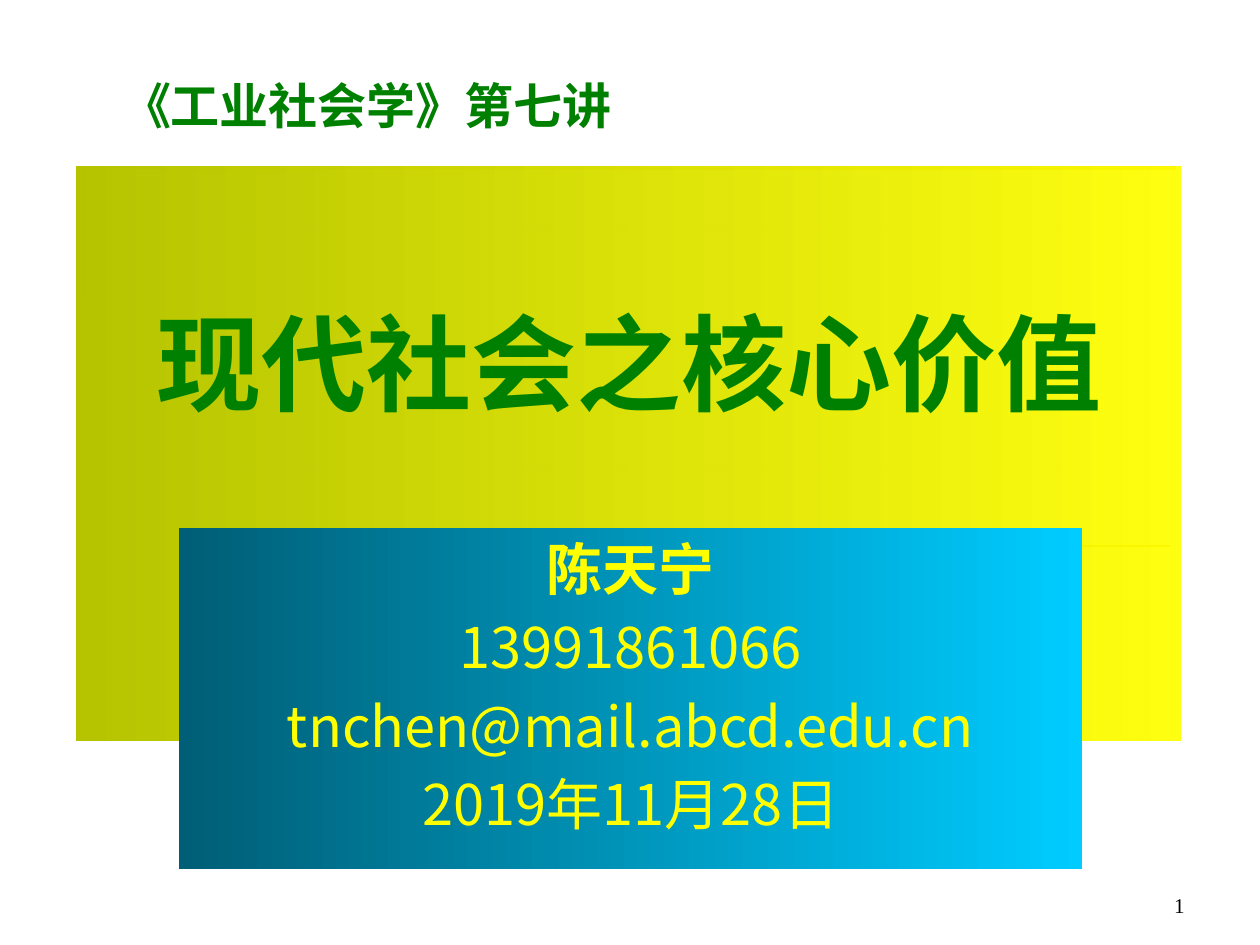
"""Build the opening slide of a lecture on the core values of modern society."""
from dataclasses import dataclass

from lxml.etree import SubElement
from pptx import Presentation
from pptx.dml.color import RGBColor
from pptx.enum.shapes import MSO_CONNECTOR, MSO_SHAPE
from pptx.enum.text import MSO_ANCHOR, MSO_AUTO_SIZE, PP_ALIGN
from pptx.oxml.ns import qn
from pptx.util import Inches, Pt

COLORS = {
    "green": "008000", "yellow": "FFFF00", "olive": "B6C400", "gold": "CC9900",
    "teal": "005E76", "sky": "00CCFF", "black": "000000",
}
WIDTH, HEIGHT = Inches(10), Inches(7.5)
SANS, SERIF = "Noto Sans CJK SC", "Times New Roman"


@dataclass(frozen=True)
class Box:
    """Hold a rectangle as shares of the slide's size."""
    left: float
    top: float
    width: float
    height: float

    def lengths(self) -> tuple[int, int, int, int]:
        """Return left, top, width and height in slide units."""
        return (int(self.left * WIDTH), int(self.top * HEIGHT),
                int(self.width * WIDTH), int(self.height * HEIGHT))


@dataclass(frozen=True)
class Line:
    """Hold one paragraph and its look."""
    text: str
    size: float
    color: str
    bold: bool = False
    font: str = SANS
    align: PP_ALIGN = PP_ALIGN.CENTER
    before: float = 0
    spacing: float = 1.0


TITLE_BOX = Box(0.061, 0.176, 0.876, 0.608)
SPEAKER_BOX = Box(0.142, 0.559, 0.717, 0.361)
LECTURE_BOX = Box(0.087, 0.073, 0.409, 0.076)
NUMBER_BOX = Box(0.717, 0.911, 0.233, 0.067)
RULE_BOX = Box(0.067, 0.178, 0.866, 0.133)

TITLE = Line("现代社会之核心价值", 60, "green", bold=True, spacing=2.0)
LECTURE = Line("《工业社会学》第七讲", 28, "green", bold=True, align=PP_ALIGN.LEFT)
NUMBER = Line("1", 12, "black", font=SERIF, align=PP_ALIGN.RIGHT)
SPEAKER = [Line("陈天宁", 32, "yellow", bold=True)] + [
    Line(text, 32, "yellow", before=6.4)
    for text in ("13991861066", "tnchen@mail.abcd.edu.cn", "2019年11月28日")
]


def rgb(name: str) -> RGBColor:
    """Look up a named colour."""
    return RGBColor.from_string(COLORS[name])


def place(shape, box: Box) -> None:
    """Move a shape to its box."""
    shape.left, shape.top, shape.width, shape.height = box.lengths()


def write(shape, lines: list[Line], anchor=MSO_ANCHOR.TOP, wrap: bool = True,
          auto_size=MSO_AUTO_SIZE.NONE) -> None:
    """Fill a shape with formatted paragraphs."""
    frame = shape.text_frame
    frame.text = "\n".join(line.text for line in lines)
    frame.word_wrap, frame.auto_size, frame.vertical_anchor = wrap, auto_size, anchor
    for paragraph, line in zip(frame.paragraphs, lines):
        paragraph.alignment = line.align
        paragraph.space_before = Pt(line.before)
        paragraph.line_spacing = line.spacing
        for run in paragraph.runs:
            run.font.size, run.font.bold = Pt(line.size), line.bold
            run.font.name = line.font
            run.font.color.rgb = rgb(line.color)
            SubElement(run.font._element, qn("a:ea"), typeface=line.font)


def shade(shape, start: str, end: str, end_opacity: int = 100) -> None:
    """Give a shape a left-to-right gradient and no outline."""
    shape.fill.gradient()
    shape.fill.gradient_angle = 0
    stops = shape.fill.gradient_stops
    for stop, color, position in zip(stops, (start, end), (0, 1)):
        stop.color.rgb = rgb(color)
        stop.position = position
    if end_opacity < 100:
        color_element = stops[1]._gs.find(qn("a:srgbClr"))
        SubElement(color_element, qn("a:alpha"), val=str(end_opacity * 1000))
    shape.line.fill.background()


def draw_rules(slide) -> None:
    """Draw the gold corner and the gold rule behind the title."""
    left, top, width, height = RULE_BOX.lengths()
    builder = slide.shapes.build_freeform(left, top + height)
    builder.add_line_segments([(left, top), (left + width, top)], close=False)
    corner = builder.convert_to_shape()
    corner.shadow.inherit = False
    corner.fill.background()
    level = int(0.578 * HEIGHT)
    rule = slide.shapes.add_connector(
        MSO_CONNECTOR.STRAIGHT, int(0.217 * WIDTH), level, int(0.929 * WIDTH), level)
    SubElement(rule._element.spPr, qn("a:effectLst"))
    for shape, weight in ((corner, 2), (rule, 1.5)):
        shape.line.color.rgb = rgb("gold")
        shape.line.width = Pt(weight)


def main() -> None:
    """Build and save the slide."""
    presentation = Presentation()
    presentation.slide_width, presentation.slide_height = WIDTH, HEIGHT
    slide = presentation.slides.add_slide(presentation.slide_layouts[5])
    draw_rules(slide)

    number = slide.shapes.add_textbox(*NUMBER_BOX.lengths())
    write(number, [NUMBER], anchor=MSO_ANCHOR.BOTTOM)

    title = slide.shapes.title
    slide.shapes.element.append(title.element)
    place(title, TITLE_BOX)
    shade(title, "olive", "yellow", end_opacity=94)
    write(title, [TITLE])

    speaker = slide.shapes.add_shape(MSO_SHAPE.RECTANGLE, *SPEAKER_BOX.lengths())
    speaker.shadow.inherit = False
    shade(speaker, "teal", "sky")
    write(speaker, SPEAKER)

    lecture = slide.shapes.add_textbox(*LECTURE_BOX.lengths())
    write(lecture, [LECTURE], wrap=False, auto_size=MSO_AUTO_SIZE.SHAPE_TO_FIT_TEXT)

    presentation.save("out.pptx")


if __name__ == "__main__":
    main()
